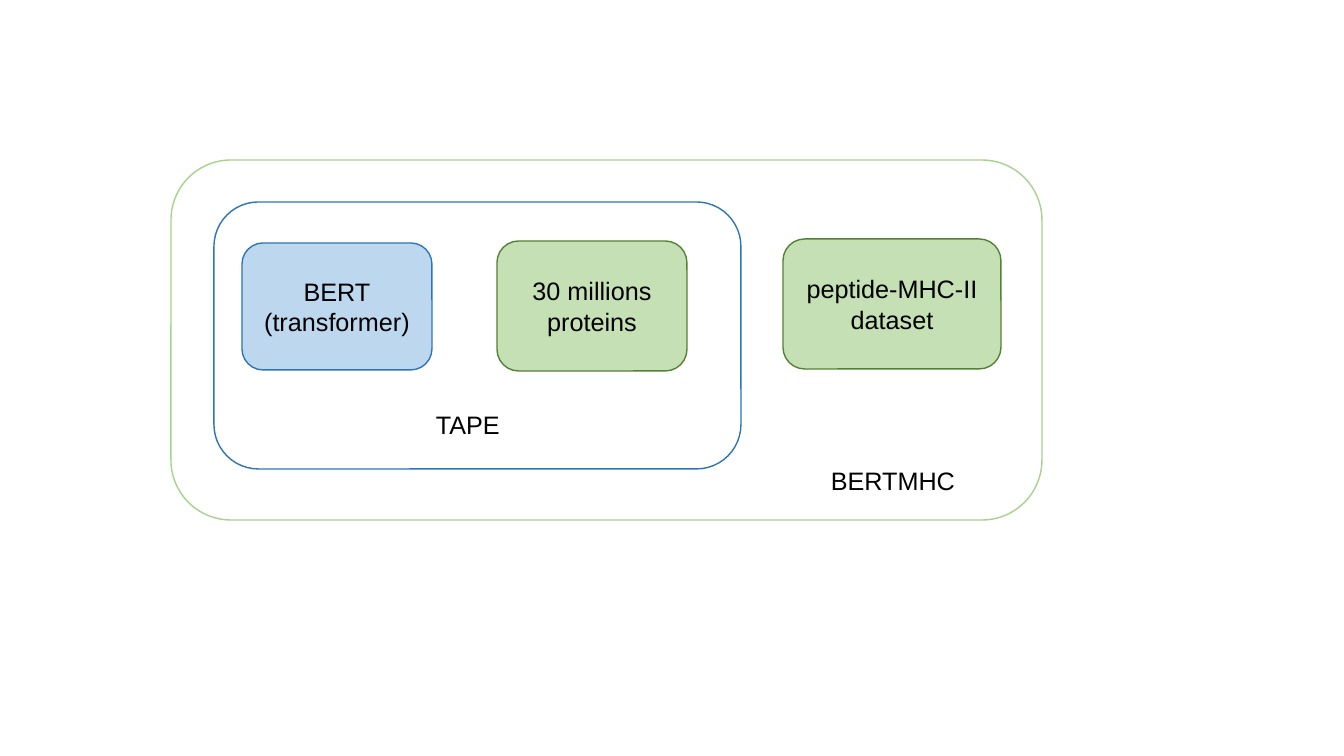
"""Builds the slide that nests BERT, TAPE and BERTMHC."""
from pptx import Presentation
from pptx.dml.color import RGBColor
from pptx.enum.shapes import MSO_SHAPE
from pptx.enum.text import MSO_ANCHOR, MSO_AUTO_SIZE, PP_ALIGN
from pptx.util import Pt

ROUND = MSO_SHAPE.ROUNDED_RECTANGLE
MIDDLE, TOP = MSO_ANCHOR.MIDDLE, MSO_ANCHOR.TOP
CENTER, LEFT = PP_ALIGN.CENTER, PP_ALIGN.LEFT
GROW = MSO_AUTO_SIZE.SHAPE_TO_FIT_TEXT
NONE = MSO_AUTO_SIZE.NONE

FRAMES = [
    ("bertmhc", (171, 160, 871, 360)),
    ("tape", (214, 202, 527, 267)),
]
BOXES = [
    ("model", ["BERT", "(transformer)"], (242, 243, 190, 127)),
    ("data", ["30 millions proteins"], (497, 241, 190, 130)),
    ("data", ["peptide-MHC-II dataset"], (783, 239, 218, 130)),
]
LABELS = [
    ("TAPE", (426, 404, 152, 40)),
    ("BERTMHC", (821, 460, 152, 40)),
]
THEME = {
    "styles": {
        "model": ("BDD7EE", "2E75B6"),
        "data": ("C5E0B4", "548235"),
        "bertmhc": (None, "A9D18E"),
        "tape": (None, "2E75B6"),
    },
    "font": {"name": "Arial", "size": Pt(18)},
    "ink": "000000",
    "line": Pt(1),
}
BOX_TEXT = {"word_wrap": True, "vertical_anchor": MIDDLE, "auto_size": NONE}
LABEL_TEXT = {"word_wrap": True, "vertical_anchor": TOP, "auto_size": GROW}
SCALE = 914400 / 100.8


def emu(*nums):
    """Turn pixels into EMU."""
    return [round(num * SCALE) for num in nums]


def write(shape, lines, form, align):
    """Fill a shape with formatted paragraphs."""
    frame = shape.text_frame
    frame.text = "\n".join(lines)
    for key, value in form.items():
        setattr(frame, key, value)
    for para in frame.paragraphs:
        para.alignment = align
        for run in para.runs:
            for key, value in THEME["font"].items():
                setattr(run.font, key, value)
            run.font.color.rgb = RGBColor.from_string(THEME["ink"])


def draw(slide, style, area):
    """Add a rounded box in a named style."""
    fill, line = THEME["styles"][style]
    shape = slide.shapes.add_shape(ROUND, *emu(*area))
    shape.shadow.inherit = False
    if fill:
        shape.fill.solid()
        shape.fill.fore_color.rgb = RGBColor.from_string(fill)
    else:
        shape.fill.background()
    shape.line.color.rgb = RGBColor.from_string(line)
    shape.line.width = THEME["line"]
    return shape


deck = Presentation()
deck.slide_width, deck.slide_height = emu(1344, 756)
slide = deck.slides.add_slide(deck.slide_layouts[6])
for style, area in FRAMES:
    draw(slide, style, area)
for style, lines, area in BOXES:
    write(draw(slide, style, area), lines, BOX_TEXT, CENTER)
for text, area in LABELS:
    write(slide.shapes.add_textbox(*emu(*area)), [text], LABEL_TEXT, LEFT)
deck.save("out.pptx")
